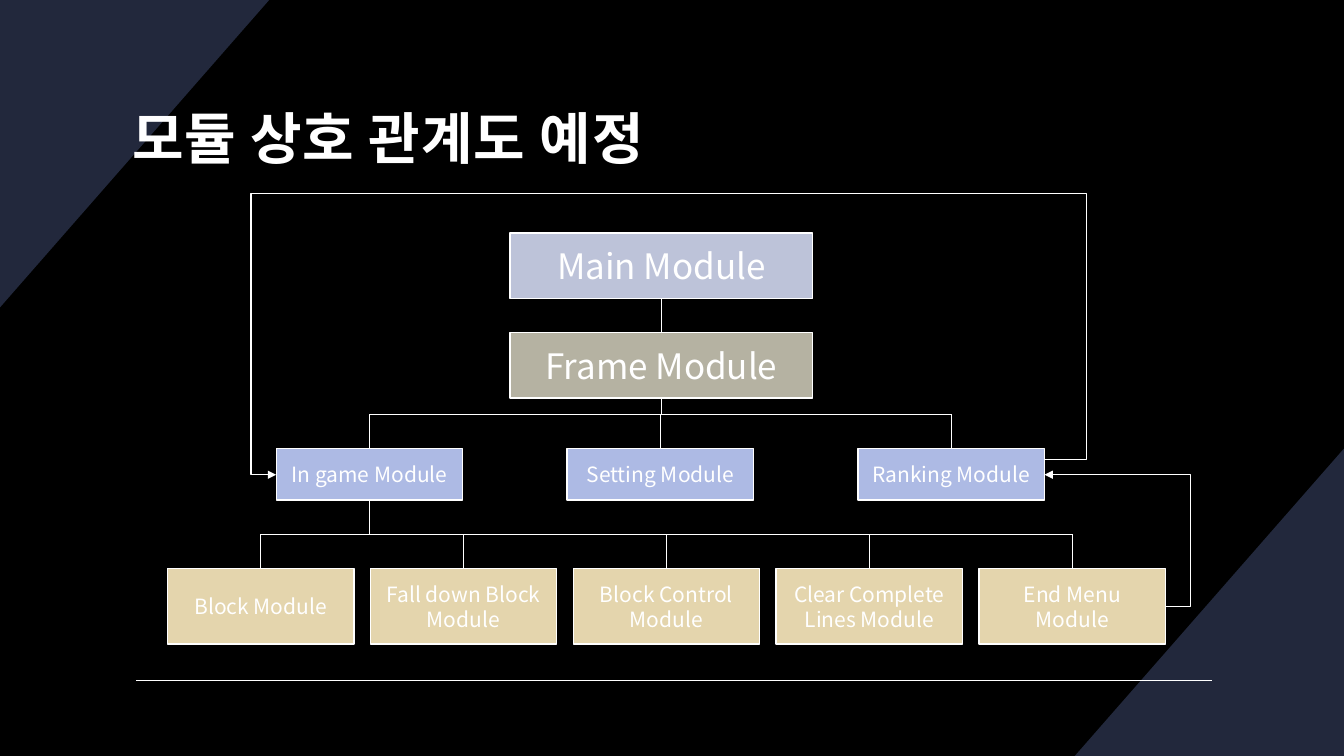
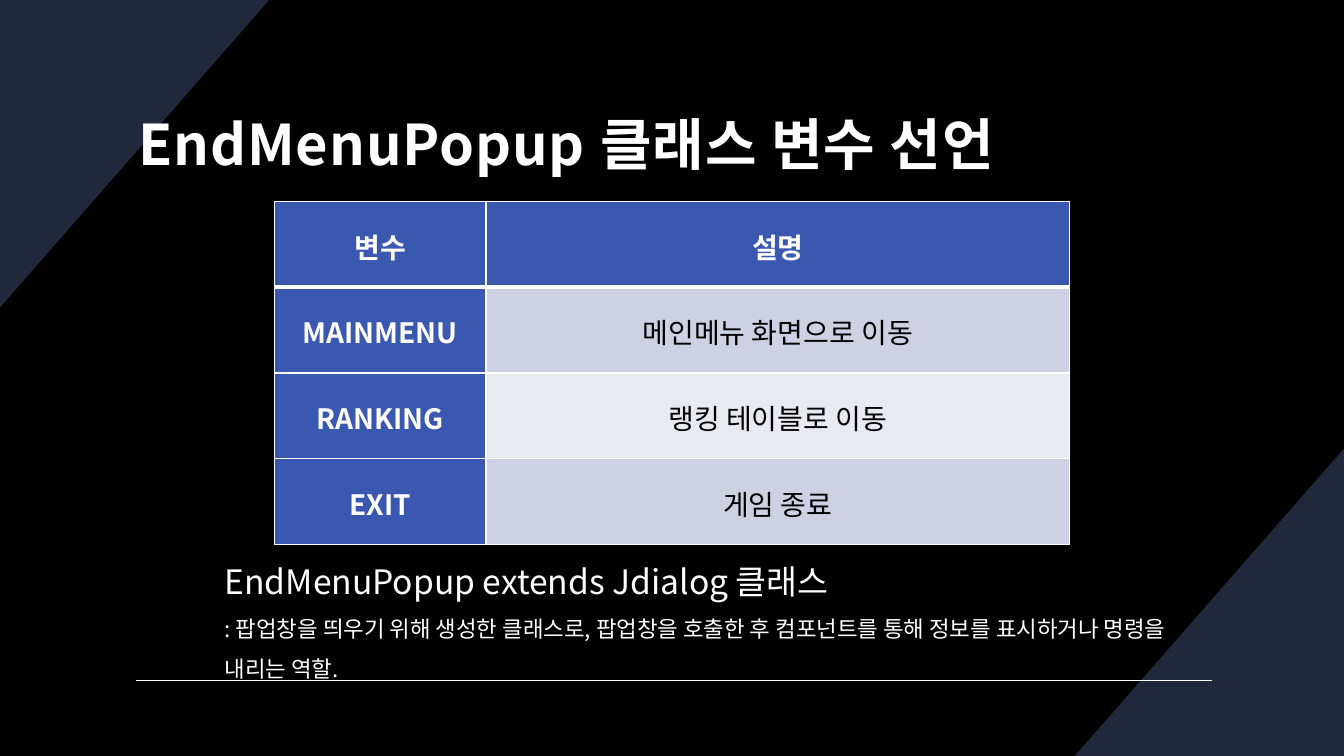
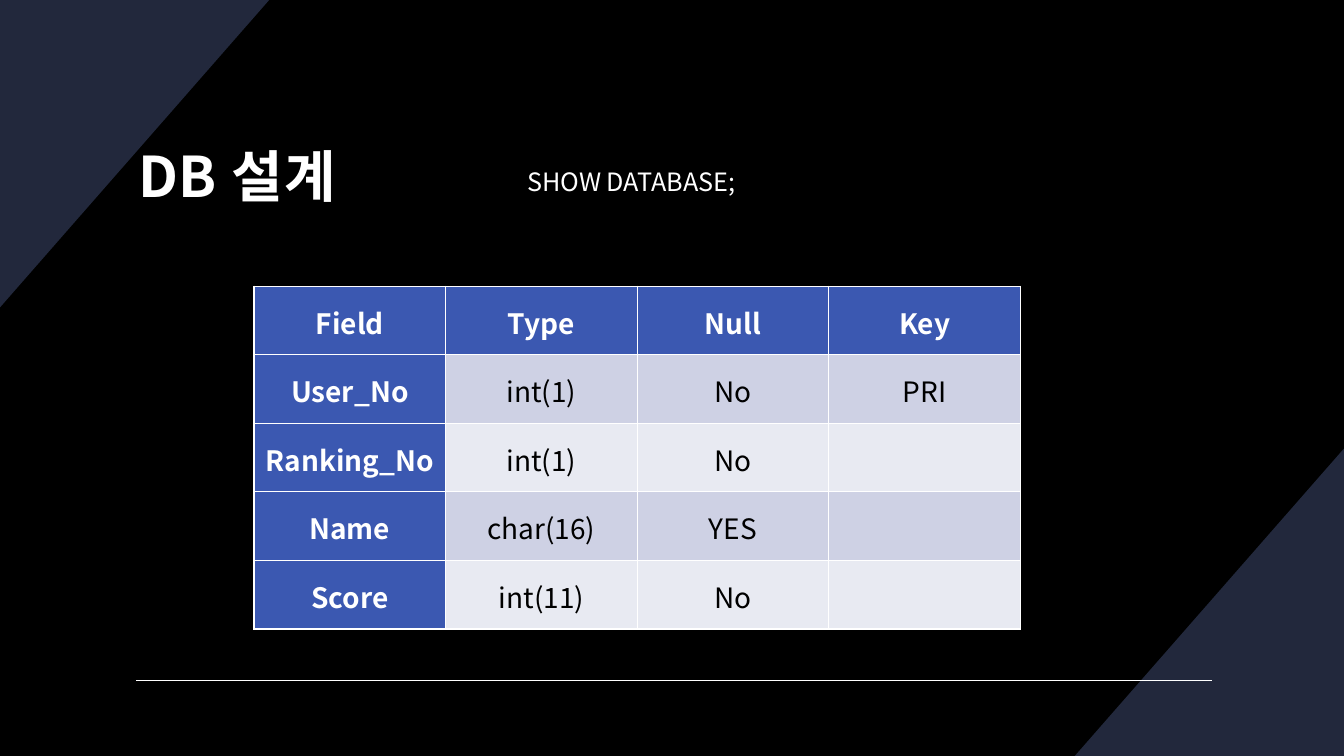
import lxml.etree
import pptx
import pptx.dml.color
import pptx.enum.shapes
import pptx.enum.text
import pptx.oxml.ns
import pptx.util

Inches = pptx.util.Inches
Pt = pptx.util.Pt
qn = pptx.oxml.ns.qn
Connector = pptx.enum.shapes.MSO_CONNECTOR
Align = pptx.enum.text.PP_ALIGN
Anchor = pptx.enum.text.MSO_ANCHOR

FONT = "Noto Sans CJK KR"
WHITE, BLACK, NAVY = "FFFFFF", "000000", "22283C"
HEADER, BAND_DARK, BAND_LIGHT = "3B58B1", "CED1E4", "E8EAF2"
MAIN, FRAME, SCREEN, GAME = "BDC3D9", "B5B2A2", "ADBAE4", "E4D5AD"
BOTTOM, TOP, RIGHT = 2, 0, 3


def color(value):
    """Turn a hex string into a colour."""
    return pptx.dml.color.RGBColor.from_string(value)


def paint(fill, value):
    """Give a fill one solid colour."""
    fill.solid()
    fill.fore_color.rgb = color(value)


def style(paragraph, size, value=WHITE, bold=False, align=None, spacing=None):
    """Set the font, alignment and line spacing of a paragraph."""
    font = paragraph.font
    font.size, font.bold, font.name = Pt(size), bold, FONT
    font.color.rgb = color(value)
    properties = paragraph._p.pPr.find(qn("a:defRPr"))
    lxml.etree.SubElement(properties, qn("a:ea"), typeface=FONT)
    if align is not None:
        paragraph.alignment = align
    if spacing is not None:
        paragraph.line_spacing = spacing
    return properties


def add_text(slide, box, lines, spacing=None, wrap=True):
    """Add a text box with one paragraph for each (text, size) pair."""
    frame = slide.shapes.add_textbox(*map(Inches, box)).text_frame
    frame.word_wrap = wrap
    for index, (text, size) in enumerate(lines):
        paragraph = frame.add_paragraph() if index else frame.paragraphs[0]
        paragraph.text = text
        style(paragraph, size, spacing=spacing)


def add_line(slide, start, end, kind=Connector.STRAIGHT):
    """Add a thin white connector between two points."""
    line = slide.shapes.add_connector(kind, *map(Inches, (*start, *end)))
    line.line.color.rgb = color(WHITE)
    line.line.width = Pt(1)
    lxml.etree.SubElement(line._element.spPr, qn("a:effectLst"))
    return line


def add_elbow(slide, start, end, preset, bends):
    """Add a bent arrow whose bends are fractions of its size."""
    arrow = add_line(slide, start, end, Connector.ELBOW)
    properties = arrow._element.spPr
    geometry = properties.find(qn("a:prstGeom"))
    geometry.set("prst", preset)
    guides = geometry.find(qn("a:avLst"))
    for number, bend in enumerate(bends, 1):
        lxml.etree.SubElement(guides, qn("a:gd"), name=f"adj{number}",
                              fmla=f"val {round(bend * 100000)}")
    lxml.etree.SubElement(properties.find(qn("a:ln")), qn("a:tailEnd"), type="triangle")


def add_corner(slide, points):
    """Add a navy triangle in a corner of the slide."""
    start, *others = [tuple(map(Inches, point)) for point in points]
    builder = slide.shapes.build_freeform(*start)
    builder.add_line_segments(others)
    corner = builder.convert_to_shape()
    corner.shadow.inherit = False
    paint(corner.fill, NAVY)
    corner.line.fill.background()


def add_title(slide, left, top, text):
    """Add the bold slide title."""
    box = slide.shapes.add_textbox(*map(Inches, (left, top, 10.83, 1.49)))
    frame = box.text_frame
    frame.word_wrap = True
    frame.vertical_anchor = Anchor.MIDDLE
    frame.margin_left = frame.margin_right = frame.margin_top = Inches(0.12)
    frame.margin_bottom = Inches(0.1)
    paragraph = frame.paragraphs[0]
    paragraph.text = text
    style(paragraph, 40, bold=True, spacing=1.1).set("spc", "70")


def new_slide(presentation, title, left, top):
    """Add a black slide with its corners, footer line and title."""
    slide = presentation.slides.add_slide(presentation.slide_layouts[6])
    paint(slide.background.fill, BLACK)
    add_corner(slide, [(13.33, 4.45), (13.33, 7.5), (10.66, 7.5)])
    add_corner(slide, [(0, 3.05), (0, 0), (2.67, 0)])
    add_line(slide, (1.35, 6.75), (12.02, 6.75))
    add_title(slide, left, top, title)
    return slide


def add_module(slide, box, text, fill, size):
    """Add a module box with centred text."""
    module = slide.shapes.add_shape(pptx.enum.shapes.MSO_SHAPE.RECTANGLE, *map(Inches, box))
    module.shadow.inherit = False
    paint(module.fill, fill)
    module.line.color.rgb = color(WHITE)
    module.line.width = Pt(1)
    frame = module.text_frame
    frame.word_wrap = True
    frame.vertical_anchor = Anchor.MIDDLE
    frame.paragraphs[0].text = text
    style(frame.paragraphs[0], size, align=Align.CENTER)
    return module


def add_module_row(slide, box, names, fill, bus_top):
    """Spread modules evenly over a box and hang them from a bus line."""
    left, top, width, height = box
    module_width = 1.85
    pitch = (width - module_width) / (len(names) - 1)
    lefts = [left + index * pitch for index in range(len(names))]
    centers = [start + module_width / 2 for start in lefts]
    add_line(slide, (centers[-1], bus_top), (centers[0], bus_top))
    for name, start, center in zip(names, lefts, centers):
        module = add_module(slide, (start, top, module_width, height), name, fill, 15)
        add_line(slide, (center, bus_top), (center, top)).end_connect(module, TOP)
        if start == left:
            first = module
    return first, centers[0]


def add_module_tree(slide, left, top):
    """Draw the module tree and its return arrows from a top left corner."""
    center = left + 4.9
    main_box = (center - 1.5, top + 0.39, 3, 0.65)
    frame_box = (center - 1.5, top + 1.38, 3, 0.65)
    main = add_module(slide, main_box, "Main Module", MAIN, 25)
    frame = add_module(slide, frame_box, "Frame Module", FRAME, 25)
    link = add_line(slide, (center, top + 1.04), (center, top + 1.38))
    link.begin_connect(main, BOTTOM)
    link.end_connect(frame, TOP)

    screen_left, screen_right = left + 1.08, left + 8.7
    screen_box = (screen_left, top + 2.53, screen_right - screen_left, 0.51)
    screens = ["In game Module", "Setting Module", "Ranking Module"]
    in_game, in_game_center = add_module_row(slide, screen_box, screens, SCREEN, top + 2.19)
    add_line(slide, (center, top + 2.03), (center, top + 2.19)).begin_connect(frame, BOTTOM)

    game_box = (left, top + 3.72, 9.9, 0.75)
    parts = ["Block Module", "Fall down Block Module", "Block Control Module",
             "Clear Complete Lines Module", "End Menu Module"]
    add_module_row(slide, game_box, parts, GAME, top + 3.38)
    stem = add_line(slide, (in_game_center, top + 3.04), (in_game_center, top + 3.38))
    stem.begin_connect(in_game, BOTTOM)

    middle = top + 2.79
    add_elbow(slide, (left + 9.9, top + 4.1), (screen_right, middle),
              "bentConnector3", [-0.25 / 1.2])
    exit_top = top + 2.64
    span = screen_right - screen_left
    add_elbow(slide, (screen_right, exit_top), (screen_left, middle), "bentConnector5",
              [-0.42 / span, (top - exit_top) / (middle - exit_top), 1 + 0.25 / span])


def set_borders(cell, bottom, top):
    """Draw white borders around a table cell."""
    properties = cell._tc.get_or_add_tcPr()
    widths = {"a:lnL": 1, "a:lnR": 1, "a:lnT": top, "a:lnB": bottom}
    for index, (tag, width) in enumerate(widths.items()):
        border = lxml.etree.Element(qn(tag), w=str(Pt(width)))
        fill = lxml.etree.SubElement(border, qn("a:solidFill"))
        lxml.etree.SubElement(fill, qn("a:srgbClr"), val=WHITE)
        properties.insert(index, border)


def add_grid(slide, left, top, widths, row_height, rows, header_rule=1):
    """Add a table with a blue first row and column and banded cells."""
    size = (sum(widths), row_height * len(rows))
    table = slide.shapes.add_table(len(rows), len(widths),
                                   *map(Inches, (left, top, *size))).table
    table.first_row = table.horz_banding = False
    for column, width in zip(table.columns, widths):
        column.width = Inches(width)
    for row_index, texts in enumerate(rows):
        table.rows[row_index].height = Inches(row_height)
        band = BAND_DARK if row_index % 2 else BAND_LIGHT
        for column_index, text in enumerate(texts):
            cell = table.cell(row_index, column_index)
            heading = row_index == 0 or column_index == 0
            paint(cell.fill, HEADER if heading else band)
            set_borders(cell, header_rule if row_index == 0 else 1,
                        header_rule if row_index == 1 else 1)
            cell.vertical_anchor = Anchor.MIDDLE
            cell.margin_left = cell.margin_right = Inches(0.07)
            cell.margin_top = cell.margin_bottom = 0
            if text:
                paragraph = cell.text_frame.paragraphs[0]
                paragraph.text = text
                paragraph.space_after = Pt(8)
                style(paragraph, 20, WHITE if heading else BLACK, heading, Align.CENTER, 1.07)


def build_module_slide(presentation):
    """Build the module relationship slide."""
    slide = new_slide(presentation, "모듈 상호 관계도 예정", 1.19, 0.57)
    add_module_tree(slide, 1.66, 1.92)


def build_popup_slide(presentation):
    """Build the popup class slide."""
    slide = new_slide(presentation, "EndMenuPopup 클래스 변수 선언", 1.25, 0.63)
    add_grid(slide, 2.72, 2, [2.1, 5.79], 0.85, [
        ("변수", "설명"),
        ("MAINMENU", "메인메뉴 화면으로 이동"),
        ("RANKING", "랭킹 테이블로 이동"),
        ("EXIT", "게임 종료"),
    ], header_rule=3)
    add_text(slide, (2.13, 5.32, 9.62, 1.46), [
        ("EndMenuPopup extends Jdialog 클래스", 24),
        (": 팝업창을 띄우기 위해 생성한 클래스로, 팝업창을 호출한 후 컴포넌트를 통해 "
         "정보를 표시하거나 명령을 내리는 역할.", 16),
    ], spacing=1.5)


def build_database_slide(presentation):
    """Build the database design slide."""
    slide = new_slide(presentation, "DB 설계", 1.25, 0.95)
    add_text(slide, (5.13, 1.6, 2.38, 0.4), [("SHOW DATABASE;", 18)], wrap=False)
    add_grid(slide, 2.52, 2.84, [1.9] * 4, 0.68, [
        ("Field", "Type", "Null", "Key"),
        ("User_No", "int(1)", "No", "PRI"),
        ("Ranking_No", "int(1)", "No", ""),
        ("Name", "char(16)", "YES", ""),
        ("Score", "int(11)", "No", ""),
    ])


def main():
    """Build and save the presentation."""
    presentation = pptx.Presentation()
    presentation.slide_width = Inches(13.33)
    presentation.slide_height = Inches(7.5)
    build_module_slide(presentation)
    build_popup_slide(presentation)
    build_database_slide(presentation)
    presentation.save("out.pptx")


if __name__ == "__main__":
    main()
